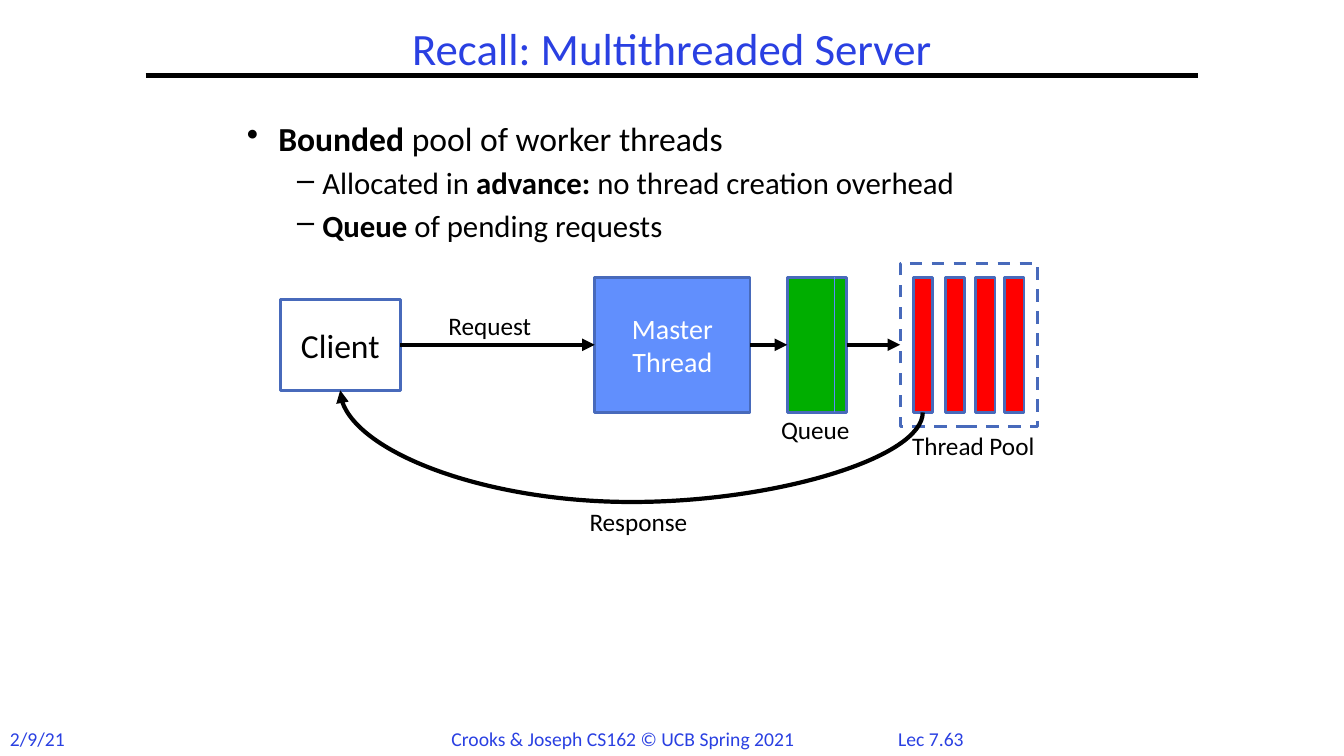
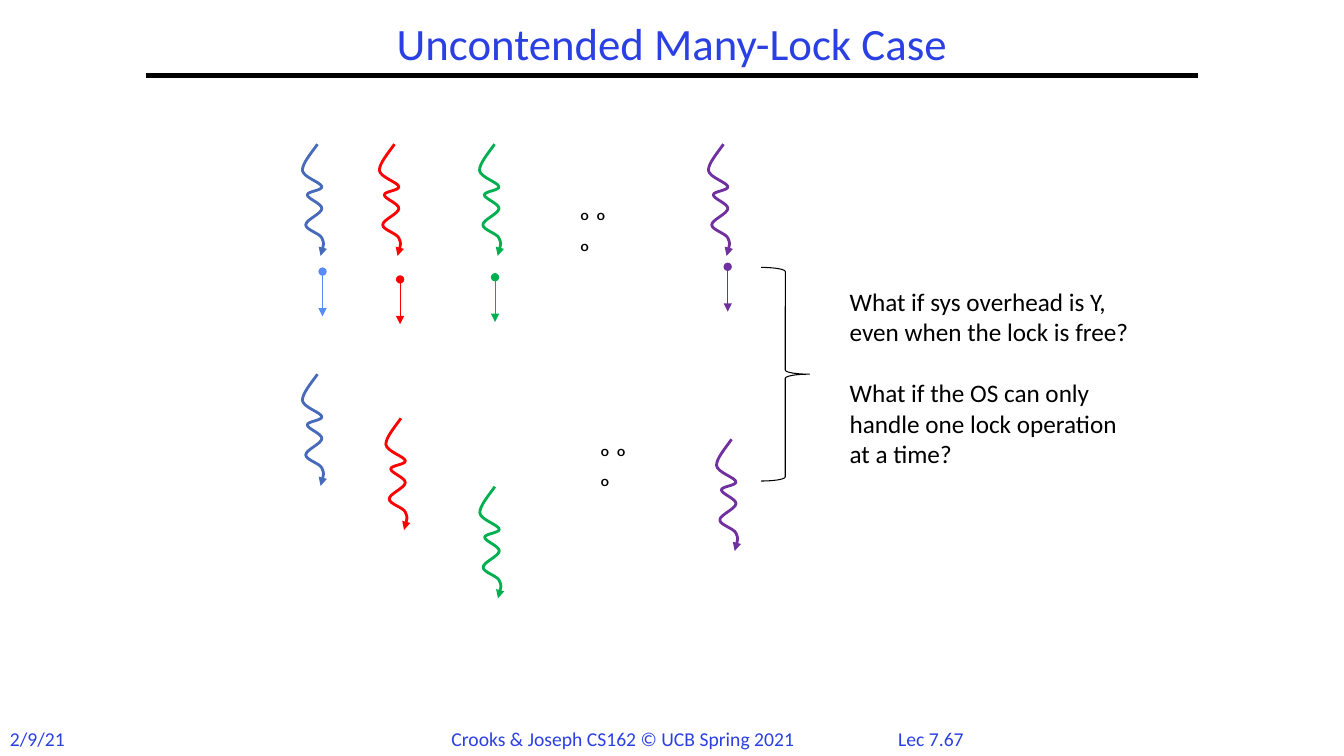
from lxml import etree
from pptx import Presentation
from pptx.dml.color import RGBColor
from pptx.enum import dml, shapes, text
from pptx.oxml.ns import qn
from pptx.util import Pt

BLUE = RGBColor(0x2A, 0x40, 0xE2)
BLACK = RGBColor(0, 0, 0)
WHITE = RGBColor(255, 255, 255)
OUTLINE = RGBColor(0x48, 0x6A, 0xBB)
MASTER_BLUE = RGBColor(0x61, 0x8F, 0xFD)
LOCK_BLUE = RGBColor(0x5B, 0x8A, 0xFB)
QUEUE_GREEN = RGBColor(0, 0xAE, 0)
RED = RGBColor(255, 0, 0)
GREEN = RGBColor(0, 0xB0, 0x50)
PURPLE = RGBColor(0x70, 0x30, 0xA0)

CENTER = text.PP_ALIGN.CENTER
MIDDLE = text.MSO_ANCHOR.MIDDLE
RECT = shapes.MSO_SHAPE.RECTANGLE

TITLES = [("Recall: Multithreaded Server", 36.4, "Lec 7.63"),
          ("Uncontended Many-Lock Case", 33.2, "Lec 7.67")]
FOOTERS = [("2/9/21", 0, 58), ("Crooks & Joseph CS162 © UCB Spring 2021", 315.4, 271)]
LECTURE = (630, 70)

BULLETS = [
    (0, [("Bounded", True), (" pool of worker threads", False)]),
    (1, [("Allocated in ", False), ("advance:", True),
         (" no thread creation overhead", False)]),
    (1, [("Queue", True), (" of pending requests", False)]),
]
BULLET_STYLES = [("•", 24, 22.5, -22.5, 0), ("–", 22, 54, -18, 6.6)]
FLOW_Y = 246.3
WORKERS = [652.3, 675.4, 697, 717.8]
LABELS = [("Queue", 550.8, 292.3, 65), ("Thread Pool", 644.4, 303.8, 105),
          ("Request", 313.2, 218.2, 74), ("Response", 414, 357.8, 85)]
RESPONSE_BOTTOM = 358.6

THREADS = [
    (OUTLINE, LOCK_BLUE, (226.8, 103), (230.4, 194), (226.8, 267.3)),
    (RED, RED, (281.8, 103), (285.8, 199.6), (286.4, 298.8)),
    (GREEN, GREEN, (353.3, 103), (353.6, 198), (353.5, 347.6)),
    (PURPLE, PURPLE, (516.8, 103), (519.8, 190.6), (522.6, 313.8)),
]
LOCK_LENGTH = 32
SQUIGGLE = [
    (-5, 7), (-10.8, 13.7), (-10.8, 18.7),
    (-10.2, 23.7), (2.9, 27.4), (3.1, 30.4),
    (3.4, 33.1), (-7.3, 33.6), (-7.3, 36.2),
    (-7.3, 38.9), (3.4, 42.5), (3.1, 46),
    (2.9, 49.7), (-8.4, 54), (-8.4, 57.6),
    (-8.4, 61.2), (1.6, 63.6), (3.1, 67),
    (5, 71), (3.6, 75.5), (2.2, 79.8),
]
ELLIPSES = [(406.8, 143.3), (421.2, 311.8)]
QUESTIONS = ["What if sys overhead is Y, even when the lock is free?",
             "What if the OS can only handle one lock operation at a time?"]


def style(paragraph, size, color, align=None):
    font = paragraph.font
    font.name, font.size, font.color.rgb = "Calibri", Pt(size), color
    if align is not None:
        paragraph.alignment = align


def add_text(slide, words, x, y, w, h, size, color=BLACK, align=None, wrap=True):
    frame = slide.shapes.add_textbox(Pt(x), Pt(y), Pt(w), Pt(h)).text_frame
    frame.word_wrap = wrap
    frame.text = words
    style(frame.paragraphs[0], size, color, align)
    return frame


def add_box(slide, kind, x, y, w, h, fill=None, line=OUTLINE, width=2):
    box = slide.shapes.add_shape(kind, Pt(x), Pt(y), Pt(w), Pt(h))
    box.shadow.inherit = False
    if fill is None:
        box.fill.background()
    else:
        box.fill.solid()
        box.fill.fore_color.rgb = fill
    box.line.color.rgb, box.line.width = line, Pt(width)
    return box


def add_flow_box(slide, x, w, h, fill=None, width=2):
    return add_box(slide, RECT, x, FLOW_Y - h / 2, w, h, fill, width=width)


def write_in(box, words, size, color):
    box.text_frame.text = words
    box.text_frame.vertical_anchor = MIDDLE
    style(box.text_frame.paragraphs[0], size, color, CENTER)


def set_ends(shape, **ends):
    ln = shape.line._get_or_add_ln()
    for tag, kind in ends.items():
        etree.SubElement(ln, qn(f"a:{tag}")).set("type", kind)


def add_line(slide, start, end, color=BLACK, width=3,
             kind=shapes.MSO_CONNECTOR.STRAIGHT, **ends):
    line = slide.shapes.add_connector(kind, *map(Pt, start + end))
    line.line.color.rgb, line.line.width = color, Pt(width)
    set_ends(line, **ends)
    etree.SubElement(line._element.spPr, qn("a:effectLst"))
    return line


def join(slide, source, target):
    arrow = add_line(slide, (0, 0), (0, 0), tailEnd="triangle")
    arrow.begin_connect(source, 3)
    arrow.end_connect(target, 1)


def add_return_arrow(slide, source, target, bottom):
    (sx, sy), (ex, ey) = [((box.left + box.width / 2) / Pt(1),
                           (box.top + box.height) / Pt(1)) for box in (source, target)]
    mid_x, mid_y = (sx + ex) / 2, (sy + ey) / 2
    rise, run = (sy - ey) / 2, (sx - ex) / 2
    arrow = add_line(slide, (mid_x + rise, mid_y - run), (mid_x - rise, mid_y + run),
                     kind=shapes.MSO_CONNECTOR.CURVE, tailEnd="triangle")
    properties = arrow._element.spPr
    properties.find(qn("a:xfrm")).set("rot", str(90 * 60000))
    geometry = properties.find(qn("a:prstGeom"))
    geometry.set("prst", "curvedConnector3")
    adjustments = geometry.find(qn("a:avLst"))
    if adjustments is None:
        adjustments = etree.SubElement(geometry, qn("a:avLst"))
    bend = round((sy - bottom) / (2 * rise) * 100000)
    guide = etree.SubElement(adjustments, qn("a:gd"))
    guide.set("name", "adj1")
    guide.set("fmla", f"val {bend}")


def add_squiggle(slide, start, color):
    x, y = start
    builder = slide.shapes.build_freeform(Pt(x), Pt(y))
    builder.add_line_segments([(Pt(x + dx), Pt(y + dy)) for dx, dy in SQUIGGLE], close=False)
    squiggle = builder.convert_to_shape()
    squiggle.shadow.inherit = False
    squiggle.fill.background()
    squiggle.line.color.rgb, squiggle.line.width = color, Pt(2)
    set_ends(squiggle, tailEnd="triangle")
    outline = next(squiggle._element.iter(qn("a:path")))
    steps = outline.findall(qn("a:lnTo"))
    for first in range(0, len(steps), 3):
        curve = etree.SubElement(outline, qn("a:cubicBezTo"))
        for step in steps[first:first + 3]:
            curve.append(step[0])
            outline.remove(step)


def add_slide(deck, title, title_y, lecture):
    slide = deck.slides.add_slide(deck.slide_layouts[6])
    add_line(slide, (104, 54), (856, 54))
    for words, x, w in FOOTERS:
        add_text(slide, words, x, 515.5, w, 24, 14, BLUE)
    add_text(slide, lecture, LECTURE[0], 515.5, LECTURE[1], 24, 14, BLUE, CENTER)
    heading = add_text(slide, title, 104, title_y - 21, 752, 42, 32, BLUE, CENTER)
    heading.vertical_anchor = MIDDLE
    heading.paragraphs[0].line_spacing = 0.9
    return slide


def add_bullets(slide):
    frame = slide.shapes.add_textbox(Pt(169.2), Pt(84.2), Pt(620), Pt(100)).text_frame
    frame.word_wrap = True
    for number, (level, runs) in enumerate(BULLETS):
        paragraph = frame.add_paragraph() if number else frame.paragraphs[0]
        mark, size, margin, indent, before = BULLET_STYLES[level]
        properties = paragraph._p.get_or_add_pPr()
        properties.set("marL", str(Pt(margin)))
        properties.set("indent", str(Pt(indent)))
        etree.SubElement(properties, qn("a:buChar")).set("char", mark)
        paragraph.level = level
        paragraph.line_spacing = 0.9
        paragraph.space_before = Pt(before)
        style(paragraph, size, BLACK)
        for words, bold in runs:
            run = paragraph.add_run()
            run.text, run.font.bold = words, bold


def fill_server(slide):
    add_bullets(slide)
    client = add_flow_box(slide, 200.2, 85.7, 65)
    write_in(client, "Client", 24, BLACK)
    master = add_flow_box(slide, 424.8, 111, 96.6, MASTER_BLUE)
    write_in(master, "Master Thread", 20, WHITE)
    queue = add_flow_box(slide, 562.3, 42.5, 96.6, QUEUE_GREEN)
    add_line(slide, (596.2, FLOW_Y - 48.3), (596.2, FLOW_Y + 48.3), LOCK_BLUE, 0.75)
    workers = [add_flow_box(slide, x, 13.7, 96.6, RED) for x in WORKERS]
    pool = add_flow_box(slide, 643, 98, 116.6, width=2.25)
    pool.line.dash_style = dml.MSO_LINE.DASH
    for source, target in [(client, master), (master, queue), (queue, pool)]:
        join(slide, source, target)
    add_return_arrow(slide, workers[0], client, RESPONSE_BOTTOM)
    for words, x, y, w in LABELS:
        add_text(slide, words, x, y, w, 29, 18, wrap=False)


def fill_locks(slide):
    for color, lock_color, before, lock, after in THREADS:
        add_squiggle(slide, before, color)
        add_line(slide, lock, (lock[0], lock[1] + LOCK_LENGTH), lock_color, 0.75,
                 headEnd="oval", tailEnd="triangle")
        add_squiggle(slide, after, color)
    for x, y in ELLIPSES:
        add_text(slide, "º º º", x, y, 44.6, 29, 18)
    add_box(slide, shapes.MSO_SHAPE.RIGHT_BRACE, 543.6, 191, 34.6, 152.6,
            line=BLACK, width=0.75)
    frame = add_text(slide, QUESTIONS[0], 599.8, 201, 222.5, 138, 18)
    second = frame.add_paragraph()
    second.text = QUESTIONS[1]
    second.space_before = Pt(22)
    style(second, 18, BLACK)


def main():
    deck = Presentation()
    deck.slide_width, deck.slide_height = Pt(960), Pt(540)
    for heading, fill in zip(TITLES, (fill_server, fill_locks)):
        fill(add_slide(deck, *heading))
    deck.save("out.pptx")


if __name__ == "__main__":
    main()
